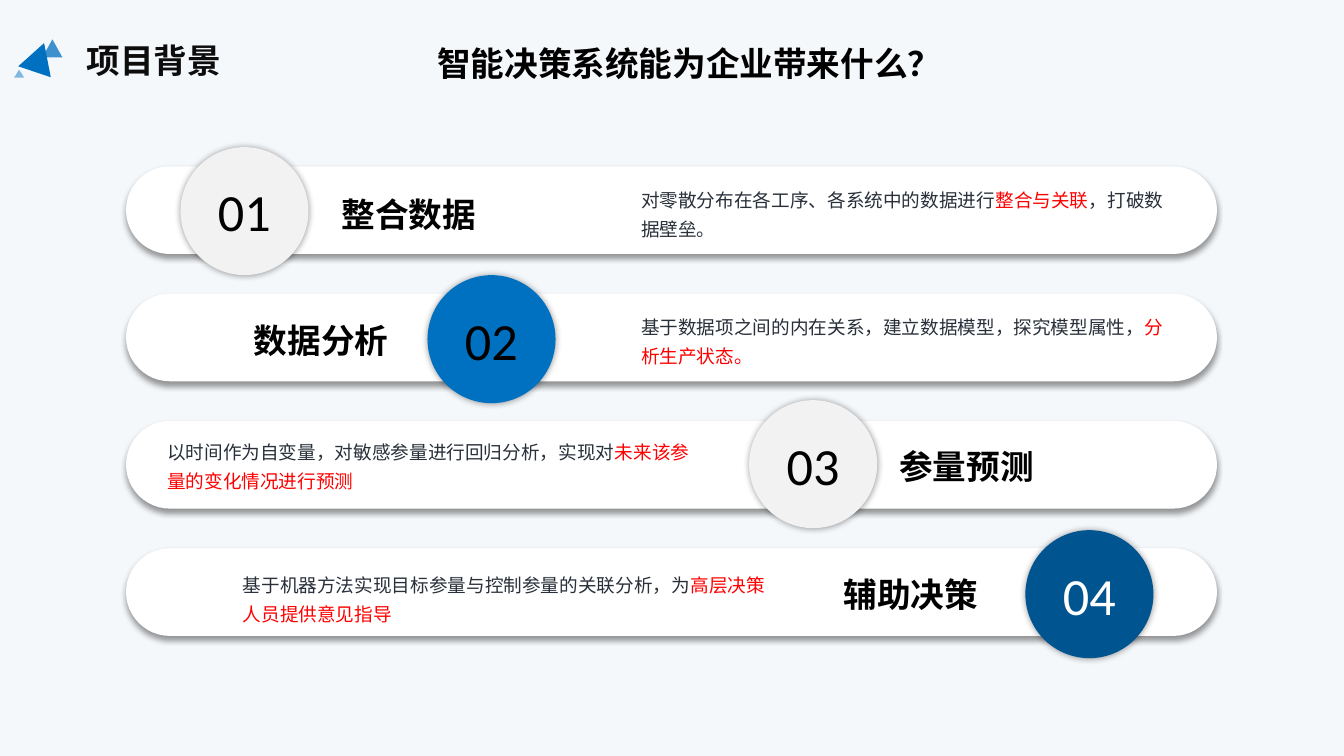
"""Build the project background slide with four decision-system benefits."""
from dataclasses import dataclass

from lxml import etree
from pptx import Presentation
from pptx.dml.color import RGBColor
from pptx.enum.shapes import MSO_SHAPE
from pptx.enum.text import MSO_ANCHOR, PP_ALIGN
from pptx.oxml.ns import qn
from pptx.util import Inches, Pt

LEFT, CENTER = PP_ALIGN.LEFT, PP_ALIGN.CENTER
TOP, MIDDLE = MSO_ANCHOR.TOP, MSO_ANCHOR.MIDDLE
TRIANGLE, OVAL = MSO_SHAPE.ISOSCELES_TRIANGLE, MSO_SHAPE.OVAL
PILL = MSO_SHAPE.ROUNDED_RECTANGLE
TITLE_ONLY = 5


@dataclass(frozen=True)
class Theme:
    background: str = "F5F8FB"
    white: str = "FFFFFF"
    black: str = "000000"
    title: str = "0D0D0D"
    body: str = "29303A"
    emphasis: str = "FF0000"
    gray: str = "F2F2F2"
    blue: str = "0070C0"
    navy: str = "005490"
    chinese: str = "Noto Sans CJK SC"
    latin: str = "Calibri"
    heading_size: float = 24
    body_size: float = 13.3
    number_size: float = 37.3


THEME = Theme()


@dataclass(frozen=True)
class Box:
    left: float
    top: float
    width: float
    height: float

    def lengths(self):
        return [Inches(n) for n in (self.left, self.top, self.width, self.height)]


@dataclass(frozen=True)
class Run:
    text: str
    color: str
    size: float
    font: str = THEME.chinese
    bold: bool = False


@dataclass(frozen=True)
class Shadow:
    blur: float
    distance: float
    angle: int


@dataclass(frozen=True)
class Triangle:
    box: Box
    alpha: int = 100
    rotation: float = 0


@dataclass(frozen=True)
class Benefit:
    label: str
    label_left: float
    label_top: float
    detail: tuple[tuple[str, str], ...]
    detail_left: float
    detail_top: float
    circle_left: float
    circle_top: float
    circle_color: str
    number_color: str = THEME.black


BAR_SHADOW = Shadow(4, 3, 90)
CIRCLE_SHADOW = Shadow(5, 0, 0)
BAR_TOP, BAR_STEP = 1.65, 1.263
LOGO = (
    Triangle(Box(0.42, 0.39, 0.2, 0.18), alpha=75),
    Triangle(Box(0.22, 0.42, 0.34, 0.3), rotation=18.5),
    Triangle(Box(0.14, 0.69, 0.1, 0.08), alpha=47),
)
BENEFITS = (
    Benefit("整合数据", 3.29, 1.87,
            (("对零散分布在各工序、各系统中的数据进行", THEME.body),
             ("整合与关联", THEME.emphasis), ("，打破数据壁垒。", THEME.body)),
            6.26, 1.76, 1.79, 1.46, THEME.gray),
    Benefit("数据分析", 2.42, 3.12,
            (("基于数据项之间的内在关系，建立数据模型，探究模型属性，", THEME.body),
             ("分析生产状态。", THEME.emphasis)),
            6.26, 3.02, 4.24, 2.73, THEME.blue),
    Benefit("参量预测", 8.82, 4.37,
            (("以时间作为自变量，对敏感参量进行回归分析，实现对", THEME.body),
             ("未来该参量的变化情况进行预测", THEME.emphasis)),
            1.56, 4.26, 7.43, 3.97, THEME.gray),
    Benefit("辅助决策", 8.27, 5.64,
            (("基于机器方法实现目标参量与控制参量的关联分析，为", THEME.body),
             ("高层决策人员提供意见指导", THEME.emphasis)),
            2.31, 5.58, 10.17, 5.26, THEME.navy, THEME.white),
)


def write(holder, runs: list[Run], align=LEFT, anchor=TOP, wrap=True, spacing=1.0) -> None:
    frame = holder.text_frame
    paragraph = frame.paragraphs[0]
    for target, values in (
        (frame, {"word_wrap": wrap, "vertical_anchor": anchor}),
        (paragraph, {"alignment": align, "line_spacing": spacing}),
    ):
        for key, value in values.items():
            setattr(target, key, value)
    for run in runs:
        piece = paragraph.add_run()
        piece.text = run.text
        formats = {"name": run.font, "size": Pt(run.size), "bold": run.bold}
        for key, value in formats.items():
            setattr(piece.font, key, value)
        piece.font.color.rgb = RGBColor.from_string(run.color)
        east_asian = etree.SubElement(piece.font._element, qn("a:ea"))
        east_asian.set("typeface", THEME.chinese)


def add_text(slide, box: Box, runs: list[Run], **layout) -> None:
    holder = slide.shapes.add_textbox(*box.lengths())
    write(holder, runs, **layout)


def add_figure(slide, kind, box: Box, color: str, shadow: Shadow | None = None):
    figure = slide.shapes.add_shape(kind, *box.lengths())
    figure.fill.solid()
    figure.fill.fore_color.rgb = RGBColor.from_string(color)
    figure.line.fill.background()
    figure.shadow.inherit = False
    if shadow:
        effects = figure._element.spPr.find(qn("a:effectLst"))
        outer = etree.SubElement(effects, qn("a:outerShdw"), {
            "blurRad": str(Pt(shadow.blur)), "dist": str(Pt(shadow.distance)),
            "dir": str(shadow.angle * 60000), "algn": "ctr", "rotWithShape": "0"})
        tint = etree.SubElement(outer, qn("a:srgbClr"), val=THEME.black)
        etree.SubElement(tint, qn("a:alpha"), val="40000")
    return figure


def add_triangle(slide, triangle: Triangle) -> None:
    figure = add_figure(slide, TRIANGLE, triangle.box, THEME.blue)
    figure.rotation = triangle.rotation
    if triangle.alpha < 100:
        tint = figure._element.spPr.find(qn("a:solidFill"))[0]
        etree.SubElement(tint, qn("a:alpha"), val=str(triangle.alpha * 1000))


def add_benefit(slide, index: int, benefit: Benefit) -> None:
    bar_box = Box(1.25, BAR_TOP + index * BAR_STEP, 10.82, 0.87)
    bar = add_figure(slide, PILL, bar_box, THEME.white, BAR_SHADOW)
    bar.adjustments[0] = 0.5
    add_text(slide, Box(benefit.detail_left, benefit.detail_top, 5.45, 0.68),
             [Run(text, color, THEME.body_size) for text, color in benefit.detail],
             spacing=1.3)
    add_text(slide, Box(benefit.label_left, benefit.label_top, 1.56, 0.5),
             [Run(benefit.label, THEME.black, THEME.heading_size, THEME.latin, True)],
             wrap=False)
    circle_box = Box(benefit.circle_left, benefit.circle_top, 1.27, 1.27)
    circle = add_figure(slide, OVAL, circle_box, benefit.circle_color, CIRCLE_SHADOW)
    number = Run(f"{index + 1:02}", benefit.number_color, THEME.number_size, THEME.latin)
    write(circle, [number], CENTER, MIDDLE)


def main() -> None:
    deck = Presentation()
    deck.slide_width, deck.slide_height = Inches(13.33), Inches(7.5)
    slide = deck.slides.add_slide(deck.slide_layouts[TITLE_ONLY])
    slide.background.fill.solid()
    slide.background.fill.fore_color.rgb = RGBColor.from_string(THEME.background)
    title = slide.shapes.title
    title.left, title.top, title.width, title.height = Box(0.76, 0.35, 5.2, 0.5).lengths()
    write(title, [Run("项目背景", THEME.title, THEME.heading_size, bold=True)])
    for triangle in LOGO:
        add_triangle(slide, triangle)
    for index, benefit in enumerate(BENEFITS):
        add_benefit(slide, index, benefit)
    question = Run("智能决策系统能为企业带来什么？", THEME.black, THEME.heading_size, bold=True)
    add_text(slide, Box(4.22, 0.38, 4.9, 0.5), [question], align=CENTER)
    deck.save("out.pptx")


if __name__ == "__main__":
    main()
